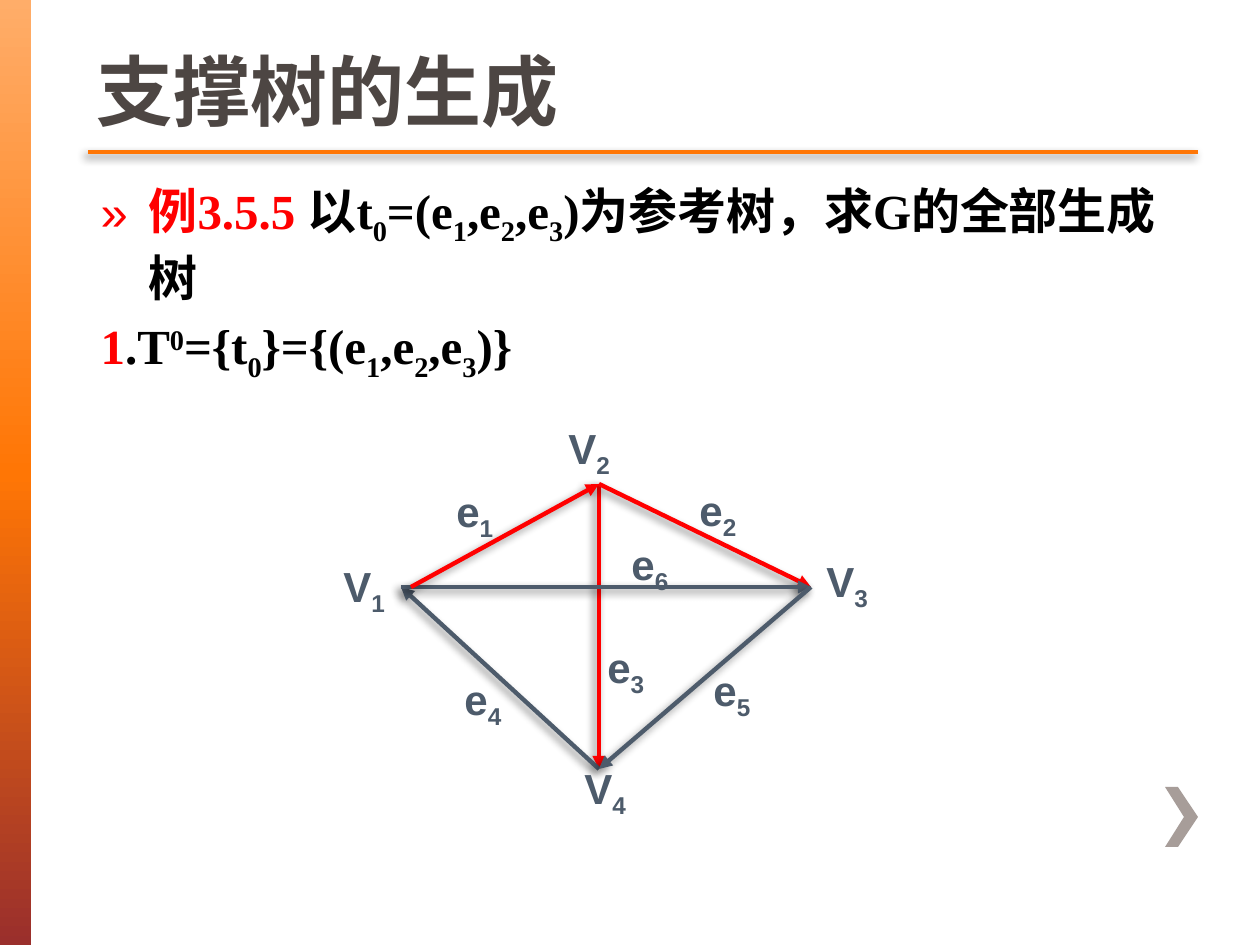
from copy import deepcopy

from lxml.etree import SubElement
from pptx import Presentation
from pptx.dml.color import RGBColor
from pptx.enum.shapes import MSO_CONNECTOR, MSO_SHAPE
from pptx.enum.text import MSO_ANCHOR, MSO_AUTO_SIZE, PP_ALIGN
from pptx.oxml.ns import qn
from pptx.util import Emu, Pt

EMU_PER_PX = 914400 / 126
ORANGE, RED, SLATE, BLACK = "FF7605", "FF0000", "4D5B6B", "000000"
SHIFTS = {"_": "-25000", "^": "30000"}


def px(length):
    return Emu(round(length * EMU_PER_PX))


def color(value):
    return RGBColor.from_string(value)


def write(paragraph, text, *, font, size, ink, bold=True):
    """Add text; _ lowers and ^ raises the one character after it."""
    def add_run(part, shift=None):
        if not part:
            return
        run = paragraph.add_run()
        run.text = part
        run.font.name, run.font.size, run.font.bold = font, Pt(size), bold
        run.font.color.rgb = color(ink)
        if shift:
            run.font._element.set("baseline", shift)

    plain, letters = "", iter(text)
    for letter in letters:
        if letter in SHIFTS:
            add_run(plain)
            add_run(next(letters), SHIFTS[letter])
            plain = ""
        else:
            plain += letter
    add_run(plain)


class SlideBuilder:
    sans, serif = "Arial", "Times New Roman"
    line_width = 2.5

    def __init__(self, slide):
        self.slide = slide
        self.shapes = slide.shapes

    def place(self, shape, left, top, width, height):
        shape.left, shape.top = px(left), px(top)
        shape.width, shape.height = px(width), px(height)

    def title(self, text, *box):
        holder = self.shapes.title
        self.place(holder, *box)
        holder.text_frame.vertical_anchor = MSO_ANCHOR.BOTTOM
        holder.text_frame.auto_size = MSO_AUTO_SIZE.NONE
        heading = holder.text_frame.paragraphs[0]
        heading.alignment = PP_ALIGN.LEFT
        write(heading, text, font=self.sans, size=44, ink="4D4643")

    def body(self, items, *box):
        """Each item is (bullet or None, [(text, ink), ...])."""
        holder = self.slide.placeholders[1]
        self.place(holder, *box)
        frame = holder.text_frame
        frame.auto_size = MSO_AUTO_SIZE.NONE
        for index, (bullet, parts) in enumerate(items):
            paragraph = frame.add_paragraph() if index else frame.paragraphs[0]
            props = paragraph._p.get_or_add_pPr()
            hang = px(48) if bullet else 0
            props.set("marL", str(hang))
            props.set("indent", str(-hang))
            if bullet:
                SubElement(props, qn("a:buFont"), typeface=self.sans)
                SubElement(props, qn("a:buChar"), char=bullet)
            else:
                SubElement(props, qn("a:buNone"))
            paragraph.space_before = Pt(5.6 if index else 0)
            for text, ink in parts:
                write(paragraph, text, font=self.serif, size=28, ink=ink)

    def gradient_bar(self, stops, *box):
        bar = self.shapes.add_shape(MSO_SHAPE.RECTANGLE, *map(px, box))
        bar.shadow.inherit = False
        bar.line.fill.background()
        bar.fill.gradient()
        bar.fill.gradient_angle = 270
        stop_list = next(bar._element.iter(qn("a:gsLst")))
        stop_list.insert(1, deepcopy(stop_list[0]))
        for stop, (position, ink) in zip(bar.fill.gradient_stops, stops):
            stop.position = position
            stop.color.rgb = color(ink)

    def outline(self, points, ink):
        path = self.shapes.build_freeform(*points[0], scale=EMU_PER_PX)
        path.add_line_segments(points[1:], close=True)
        shape = path.convert_to_shape()
        shape.shadow.inherit = False
        shape.fill.solid()
        shape.fill.fore_color.rgb = color(ink)
        shape.line.fill.background()

    def line(self, start, end, ink, arrow=False):
        connector = self.shapes.add_connector(
            MSO_CONNECTOR.STRAIGHT, *map(px, (*start, *end)))
        connector.line.width = Pt(self.line_width)
        connector.line.color.rgb = color(ink)
        if arrow:
            SubElement(connector.line._get_or_add_ln(), qn("a:tailEnd"), type="triangle")
        effects = SubElement(connector._element.spPr, qn("a:effectLst"))
        shadow = SubElement(effects, qn("a:outerShdw"), blurRad=str(Pt(5)),
                            dist=str(Pt(3)), dir="8100000", rotWithShape="0")
        shade = SubElement(shadow, qn("a:srgbClr"), val=BLACK)
        SubElement(shade, qn("a:alpha"), val="45000")

    def label(self, text, left, top):
        box = self.shapes.add_textbox(px(left), px(top), px(80), px(63))
        box.text_frame.word_wrap = True
        write(box.text_frame.paragraphs[0], text, font=self.sans, size=24, ink=SLATE)


def main():
    deck = Presentation()
    deck.slide_width, deck.slide_height = px(1260), px(945)
    page = SlideBuilder(deck.slides.add_slide(deck.slide_layouts[1]))

    page.gradient_bar([(0, "FFAD69"), (0.5, ORANGE), (1, "9A2F2C")], 0, 0, 31, 945)
    page.outline([(1178, 787), (1165, 787), (1184, 817), (1165, 847),
                  (1178, 847), (1198, 817)], "A79D99")
    page.line((88, 152), (1198, 152), ORANGE)

    page.title("支撑树的生成", 84, 0, 1110, 142)
    page.body([
        ("»", [("例3.5.5 ", RED),
               ("以t_0=(e_1,e_2,e_3)为参考树，求G的全部生成树", BLACK)]),
        (None, [("1", RED), (".T^0={t_0}={(e_1,e_2,e_3)}", BLACK)]),
    ], 88, 174, 1106, 718)

    v1, v2, v3, v4 = (401, 587), (599, 484), (811, 587), (599, 769)
    edges = [(v2, v4, RED), (v2, v3, RED), (v4, v1, SLATE),
             (v1, v3, SLATE), ((411, 587), v2, RED), (v3, v4, SLATE)]
    for start, end, ink in edges:
        page.line(start, end, ink, arrow=True)

    labels = {
        "e_1": (444, 479), "e_2": (687, 478), "e_3": (595, 635),
        "e_4": (452, 667), "e_5": (701, 658), "e_6": (619, 532),
        "V_1": (331, 554), "V_2": (556, 416), "V_3": (814, 549), "V_4": (572, 756),
    }
    for text, corner in labels.items():
        page.label(text, *corner)

    deck.save("out.pptx")


if __name__ == "__main__":
    main()
